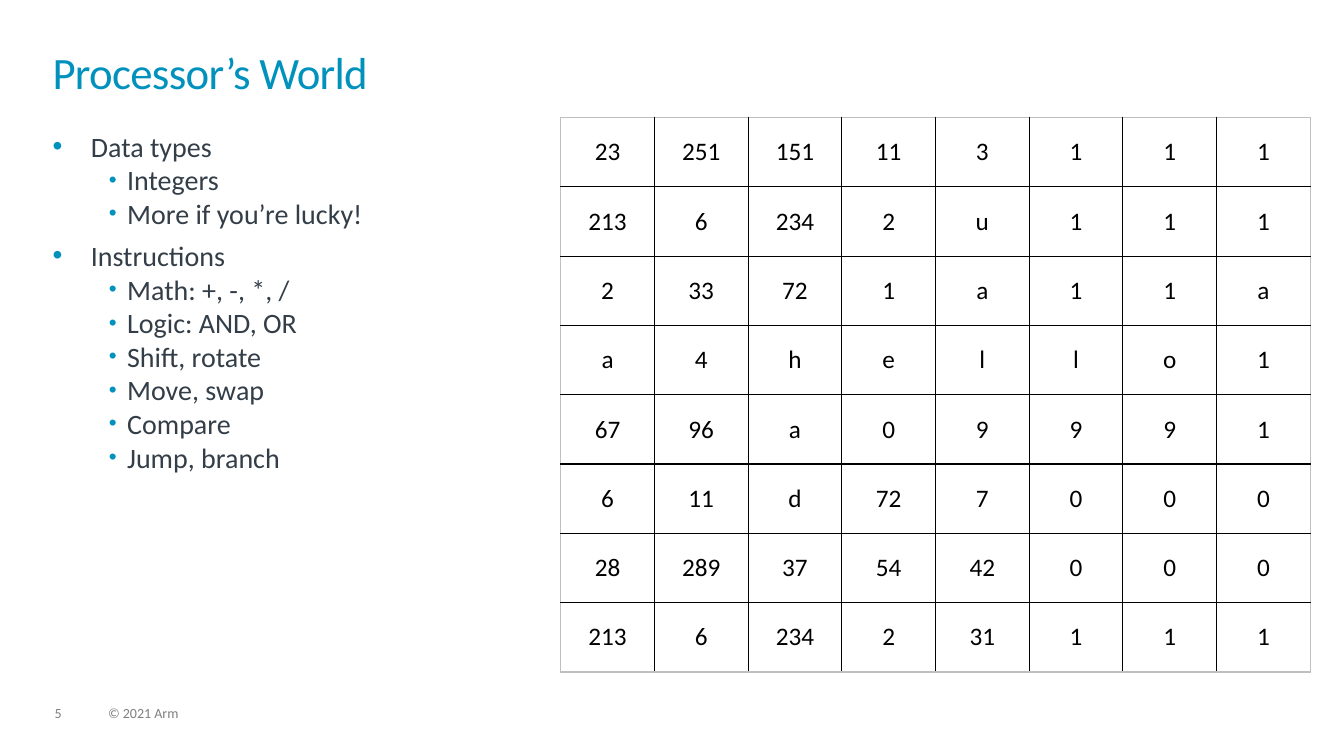
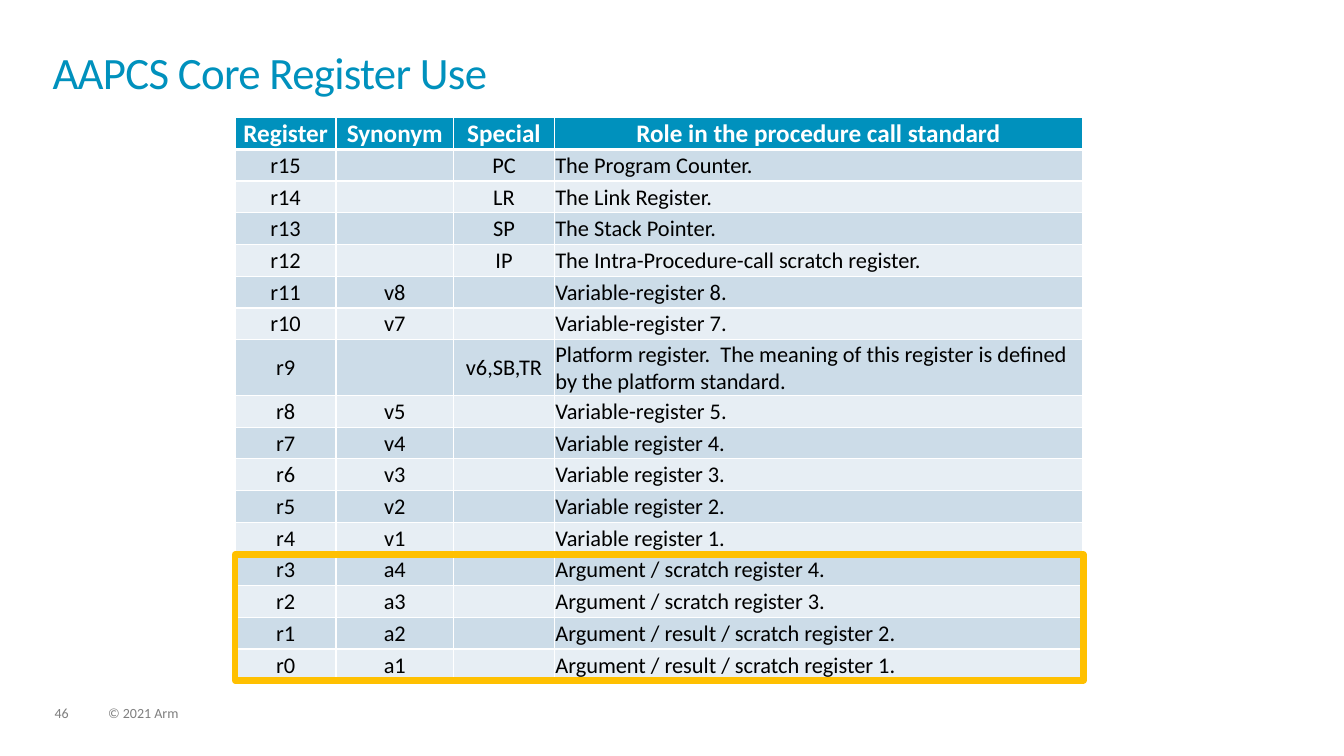
import lxml.etree
import pptx
import pptx.dml.color
import pptx.enum.shapes
import pptx.enum.text
import pptx.oxml.ns
import pptx.util

# Shared style
RGB = pptx.dml.color.RGBColor
BLUE = RGB(0x00, 0x91, 0xBD)
SLATE = RGB(0x33, 0x3E, 0x48)
GREY = RGB(0x7F, 0x7F, 0x7F)
EDGE_GREY = RGB(0xBF, 0xBF, 0xBF)
BLACK = RGB(0x00, 0x00, 0x00)
WHITE = RGB(0xFF, 0xFF, 0xFF)
BAND_DARK = RGB(0xCC, 0xDC, 0xE8)
BAND_LIGHT = RGB(0xE7, 0xEE, 0xF4)
AMBER = RGB(0xFF, 0xC0, 0x00)

FONT = "Calibri"
ALIGN = pptx.enum.text.PP_ALIGN
ANCHOR = pptx.enum.text.MSO_ANCHOR
Pt, Inches, qn = pptx.util.Pt, pptx.util.Inches, pptx.oxml.ns.qn

# The slide is a grid of square units
COLUMNS, ROWS = 128, 72
UNIT = Inches(7.5) / ROWS
LEFT = 5
TABLE_TOP = 11.2

FRAME = dict(margin_left=0, margin_right=0, margin_top=0, margin_bottom=0,
             word_wrap=True, vertical_anchor=ANCHOR.TOP,
             auto_size=pptx.enum.text.MSO_AUTO_SIZE.NONE)
TITLE = dict(alignment=ALIGN.LEFT, line_spacing=0.85, space_before=Pt(0))
FOOTER = dict(line_spacing=0.9, space_after=Pt(6))
WIDE_CELL = dict(margin_left=Inches(0.13), margin_right=Inches(0.13),
                 margin_top=Inches(0.05), margin_bottom=Inches(0.05))
TIGHT_CELL = dict(margin_left=Inches(0.01), margin_right=Inches(0.01),
                  margin_top=Inches(0.01), margin_bottom=0)
# Per list level: left margin, first-line indent, bullet size in percent
LEVELS = [(0.38, -0.38, 100), (0.74, -0.18, 80)]


def units(*counts):
    return [round(count * UNIT) for count in counts]


def apply(target, values):
    for name, value in values.items():
        setattr(target, name, value)


def add_xml(parent, tag, **attributes):
    return lxml.etree.SubElement(parent, qn(tag), attributes)


class Deck:
    def __init__(self):
        self.presentation = pptx.Presentation()
        apply(self.presentation, dict(zip(("slide_width", "slide_height"),
                                          units(COLUMNS, ROWS))))
        self.slide = None

    def add_text(self, paragraph, text, size, color, bold=False):
        run = paragraph.add_run()
        run.text = text
        apply(run.font, dict(name=FONT, size=Pt(size), bold=bold))
        run.font.color.rgb = color
        return run

    def place(self, shape, left, top, width, height):
        box = units(left, top, width, height)
        apply(shape, dict(zip(("left", "top", "width", "height"), box)))
        apply(shape.text_frame, FRAME)
        return shape.text_frame

    def new_slide(self, layout, title, number):
        layouts = self.presentation.slide_layouts
        self.slide = self.presentation.slides.add_slide(layouts[layout])
        frame = self.place(self.slide.shapes.title, LEFT, 5, 118, 6.9)
        heading = frame.paragraphs[0]
        apply(heading, TITLE)
        run = self.add_text(heading, title, 32, BLUE)
        run.font._element.set("spc", "-50")
        self.footer(number, 5.2, 3.3)
        self.footer("© 2021 Arm", 10.3, 48.7)

    def footer(self, text, left, width):
        box = self.slide.shapes.add_textbox(0, 0, 0, 0)
        paragraph = self.place(box, left, 67.3, width, 1.5).paragraphs[0]
        apply(paragraph, FOOTER)
        self.add_text(paragraph, text, 10, GREY)

    def bullets(self, items):
        frame = self.place(self.slide.placeholders[1], LEFT, 12.3, 118, 51.9)
        for index, (level, text) in enumerate(items):
            paragraph = frame.add_paragraph() if index else frame.paragraphs[0]
            margin, indent, percent = LEVELS[level]
            properties = paragraph._p.get_or_add_pPr()
            properties.set("marL", str(Inches(margin)))
            properties.set("indent", str(Inches(indent)))
            add_xml(add_xml(properties, "a:buClr"), "a:srgbClr", val=str(BLUE))
            add_xml(properties, "a:buSzPct", val=str(percent * 1000))
            add_xml(properties, "a:buFont", typeface="Arial")
            add_xml(properties, "a:buChar", char="•")
            before = Pt(6) if index and level == 0 else Pt(0)
            apply(paragraph, dict(level=level, space_before=before))
            self.add_text(paragraph, text, 20, SLATE)

    def table(self, rows, left, widths, heights):
        frame = self.slide.shapes.add_table(
            len(rows), len(widths),
            *units(left, TABLE_TOP, sum(widths), sum(heights)))
        table = frame.table
        apply(table, dict(first_row=False, horz_banding=False))
        for column, width in zip(table.columns, units(*widths)):
            column.width = width
        for row, height in zip(table.rows, units(*heights)):
            row.height = height
        return table

    def cell(self, cell, text, margins, borders, size, color=BLACK,
             fill=None, align=ALIGN.CENTER, bold=False):
        apply(cell, dict(margins, vertical_anchor=ANCHOR.MIDDLE))
        # Borders come before the fill in the cell's properties
        for side in "LRTB":
            line_color, width = borders[side]
            line = add_xml(cell._tc.get_or_add_tcPr(), "a:ln" + side,
                           w=str(Pt(width)))
            add_xml(add_xml(line, "a:solidFill"), "a:srgbClr",
                    val=str(line_color))
        if fill is None:
            cell.fill.background()
        else:
            cell.fill.solid()
            cell.fill.fore_color.rgb = fill
        paragraph = cell.text_frame.paragraphs[0]
        paragraph.alignment = align
        if text:
            self.add_text(paragraph, text, size, color, bold)
        else:
            add_xml(paragraph._p, "a:endParaRPr", sz=str(size * 100))

    def memory_table(self, rows):
        count = len(rows)
        table = self.table(rows, 53.4, [71.4 / count] * count,
                           [52.8 / count] * count)
        for r, row in enumerate(rows):
            for c, value in enumerate(row):
                outer = dict(L=c == 0, R=c == count - 1,
                             T=r == 0, B=r == count - 1)
                borders = {side: (EDGE_GREY if edge else BLACK, 1)
                           for side, edge in outer.items()}
                self.cell(table.cell(r, c), value, WIDE_CELL, borders, 18)

    def register_table(self, rows, left, two_line_row):
        heights = [3.02] * len(rows)
        heights[two_line_row] = 5.3
        table = self.table(rows, left, [9.6, 11.2, 9.6, 50.3], heights)
        for r, row in enumerate(rows):
            header = r == 0
            borders = dict.fromkeys("LRTB", (WHITE, 1))
            if header:
                borders["B"] = (WHITE, 3)
                look = dict(size=18, color=WHITE, fill=BLUE, bold=True)
            else:
                if r == 1:
                    borders["T"] = (WHITE, 3)
                look = dict(size=16, fill=BAND_DARK if r % 2 else BAND_LIGHT)
            for c, value in enumerate(row):
                role = c == len(row) - 1 and not header
                self.cell(table.cell(r, c), value, TIGHT_CELL, borders,
                          align=ALIGN.LEFT if role else ALIGN.CENTER, **look)

    def highlight(self, left, top, width, height):
        outline = self.slide.shapes.add_shape(
            pptx.enum.shapes.MSO_SHAPE.RECTANGLE,
            *units(left, top, width, height))
        outline.shadow.inherit = False
        outline.fill.background()
        outline.line.color.rgb = AMBER
        outline.line.width = Pt(4.5)


# Content
PROCESSOR_POINTS = [
    (0, "Data types"),
    (1, "Integers"),
    (1, "More if you’re lucky!"),
    (0, "Instructions"),
    (1, "Math: +, -, *, /"),
    (1, "Logic: AND, OR"),
    (1, "Shift, rotate"),
    (1, "Move, swap"),
    (1, "Compare"),
    (1, "Jump, branch"),
]
MEMORY = [line.split() for line in (
    "23 251 151 11 3 1 1 1",
    "213 6 234 2 u 1 1 1",
    "2 33 72 1 a 1 1 a",
    "a 4 h e l l o 1",
    "67 96 a 0 9 9 9 1",
    "6 11 d 72 7 0 0 0",
    "28 289 37 54 42 0 0 0",
    "213 6 234 2 31 1 1 1",
)]
REGISTERS = [
    ("Register", "Synonym", "Special", "Role in the procedure call standard"),
    ("r15", "", "PC", "The Program Counter."),
    ("r14", "", "LR", "The Link Register."),
    ("r13", "", "SP", "The Stack Pointer."),
    ("r12", "", "IP", "The Intra-Procedure-call scratch register."),
    ("r11", "v8", "", "Variable-register 8."),
    ("r10", "v7", "", "Variable-register 7."),
    ("r9", "", "v6,SB,TR", "Platform register.  The meaning of this register "
                           "is defined by the platform standard."),
    ("r8", "v5", "", "Variable-register 5."),
    ("r7", "v4", "", "Variable register 4."),
    ("r6", "v3", "", "Variable register 3."),
    ("r5", "v2", "", "Variable register 2."),
    ("r4", "v1", "", "Variable register 1."),
    ("r3", "a4", "", "Argument / scratch register 4."),
    ("r2", "a3", "", "Argument / scratch register 3."),
    ("r1", "a2", "", "Argument / result / scratch register 2."),
    ("r0", "a1", "", "Argument / result / scratch register 1."),
]


def main():
    deck = Deck()

    # Data types and instructions beside a block of memory
    deck.new_slide(1, "Processor’s World", "5")
    deck.bullets(PROCESSOR_POINTS)
    deck.memory_table(MEMORY)

    # Register roles, with the argument registers outlined
    deck.new_slide(5, "AAPCS Core Register Use", "46")
    deck.register_table(REGISTERS, 22.4, two_line_row=7)
    deck.highlight(22.4, 52.8, 80.8, 12)

    deck.presentation.save("out.pptx")


if __name__ == "__main__":
    main()
